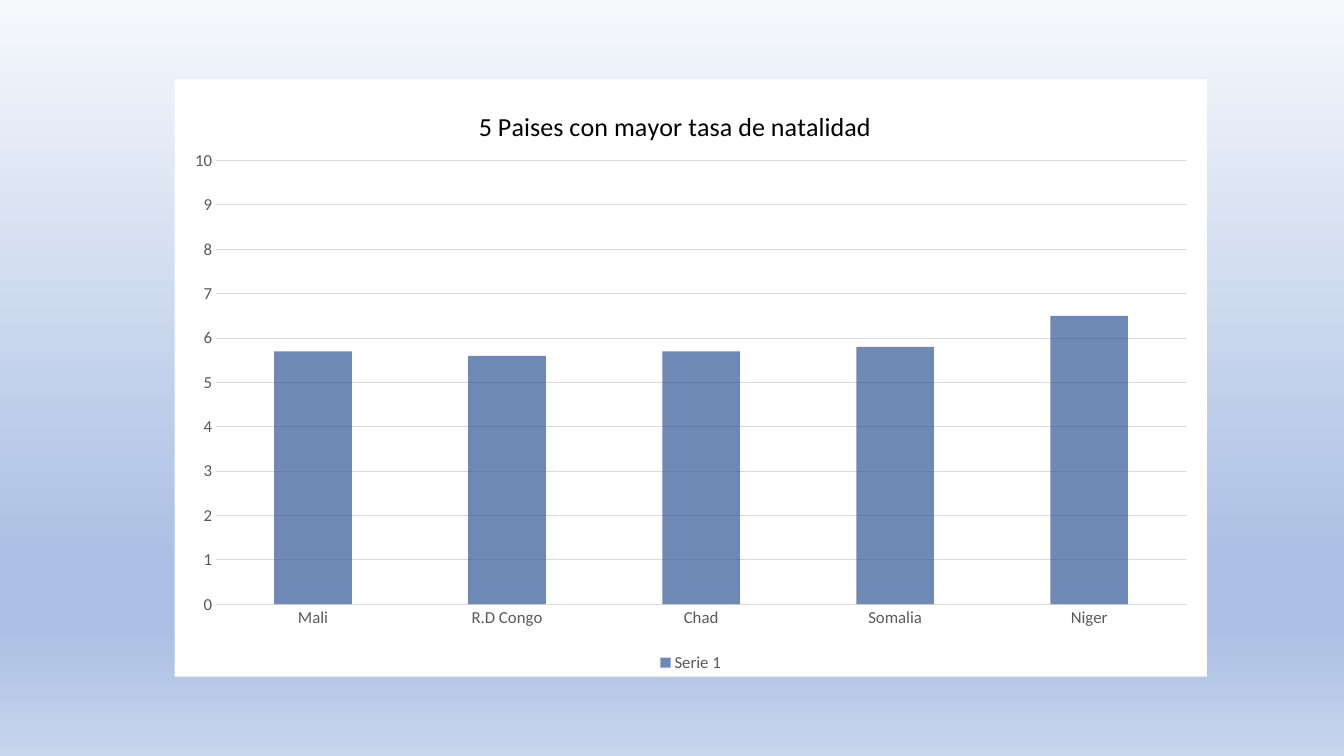
from dataclasses import dataclass

from lxml.etree import SubElement
from pptx import Presentation
from pptx.chart.data import CategoryChartData
from pptx.dml.color import RGBColor
from pptx.enum.chart import XL_CHART_TYPE as ChartType
from pptx.enum.chart import XL_LEGEND_POSITION as LegendPosition
from pptx.enum.chart import XL_TICK_MARK as TickMark
from pptx.oxml import parse_xml
from pptx.oxml.ns import nsdecls, qn
from pptx.util import Inches, Pt

TITLE = "5 Paises con mayor tasa de natalidad"
SERIES = "Serie 1"
BIRTH_RATES = {"Mali": 5.7, "R.D Congo": 5.6, "Chad": 5.7, "Somalia": 5.8, "Niger": 6.5}

SLIDE = (13.33, 7.5)
CHART_BOX = (0.13, 0.105, 0.768, 0.79)
TITLE_SPOT = {"x": 0.29, "y": 0.04}
PLOT_BOX = {"x": 0.04, "y": 0.136, "w": 0.94, "h": 0.743}


@dataclass(frozen=True)
class Theme:
    font: str = "Calibri"
    title_size: float = 18.6
    label_size: float = 12
    line_width: float = 0.75
    title: str = "000000"
    label: str = "595959"
    line: str = "D9D9D9"
    panel: str = "FFFFFF"
    bar: str = "2F5597"
    bar_opacity: int = 69
    background: tuple = ((0, "F6F8FC"), (74, "ABC0E4"), (83, "ABC0E4"), (100, "C7D5ED"))


THEME = Theme()


def style_font(font, size, color):
    font.name = THEME.font
    font.size = Pt(size)
    font.bold = False
    font.color.rgb = RGBColor.from_string(color)


def style_line(line):
    line.color.rgb = RGBColor.from_string(THEME.line)
    line.width = Pt(THEME.line_width)


def paint_background(page):
    fill = page.background.fill
    fill.gradient()
    fill.gradient_angle = 270
    stops = next(page.element.iter(qn("a:gsLst")))
    for stop in list(stops):
        stops.remove(stop)
    for percent, color in THEME.background:
        stop = SubElement(stops, qn("a:gs"), pos=str(percent * 1000))
        SubElement(stop, qn("a:srgbClr"), val=color)


def place(element, position, inner=False):
    for old in element.findall(qn("c:layout")):
        element.remove(old)
    layout = parse_xml(f"<c:layout {nsdecls('c')}><c:manualLayout/></c:layout>")
    manual = layout[0]
    if inner:
        SubElement(manual, qn("c:layoutTarget"), val="inner")
    for side in ("x", "y"):
        SubElement(manual, qn(f"c:{side}Mode"), val="edge")
    for side, share in position.items():
        SubElement(manual, qn(f"c:{side}"), val=str(share))
    element.insert(0 if inner else 1, layout)


def add_birth_chart(page):
    data = CategoryChartData()
    data.categories = list(BIRTH_RATES)
    data.add_series(SERIES, list(BIRTH_RATES.values()))
    box = [Inches(share * SLIDE[i % 2]) for i, share in enumerate(CHART_BOX)]
    chart = page.shapes.add_chart(ChartType.COLUMN_STACKED, *box, data).chart
    style_font(chart.font, THEME.label_size, THEME.label)

    chart.has_title = True
    chart.chart_title.include_in_layout = False
    para = chart.chart_title.text_frame.paragraphs[0]
    para.text = TITLE
    style_font(para.runs[0].font, THEME.title_size, THEME.title)

    chart.has_legend = True
    chart.legend.position = LegendPosition.BOTTOM
    chart.legend.include_in_layout = False
    style_font(chart.legend.font, THEME.label_size, THEME.label)

    for axis in (chart.category_axis, chart.value_axis):
        axis.major_tick_mark = axis.minor_tick_mark = TickMark.NONE
        style_font(axis.tick_labels.font, THEME.label_size, THEME.label)
    style_line(chart.category_axis.format.line)
    values = chart.value_axis
    values.minimum_scale, values.maximum_scale, values.major_unit = 0, 10, 1
    values.format.line.fill.background()
    values.tick_labels.number_format = "General"
    values.tick_labels.number_format_is_linked = False
    style_line(values.major_gridlines.format.line)

    plot = chart.plots[0]
    plot.gap_width, plot.overlap, plot.vary_by_categories = 150, 100, False
    bars = plot.series[0].format
    bars.fill.solid()
    bars.fill.fore_color.rgb = RGBColor.from_string(THEME.bar)
    bar_color = next(plot.series[0].format.element.iter(qn("a:srgbClr"))) if hasattr(bars, "element") else next(
        chart.element.find(f".//{qn('c:ser')}").iter(qn("a:srgbClr")))
    SubElement(bar_color, qn("a:alpha"), val=str(THEME.bar_opacity * 1000))

    body = chart.element.find(qn("c:chart"))
    place(body.find(qn("c:title")), TITLE_SPOT)
    place(body.find(qn("c:plotArea")), PLOT_BOX, inner=True)
    body.addnext(parse_xml(
        f"<c:spPr {nsdecls('c', 'a')}><a:solidFill><a:srgbClr val='{THEME.panel}'/></a:solidFill>"
        "<a:ln><a:noFill/></a:ln></c:spPr>"))


def main():
    deck = Presentation()
    deck.slide_width, deck.slide_height = map(Inches, SLIDE)
    page = deck.slides.add_slide(deck.slide_layouts[6])
    paint_background(page)
    add_birth_chart(page)
    deck.save("out.pptx")


if __name__ == "__main__":
    main()
